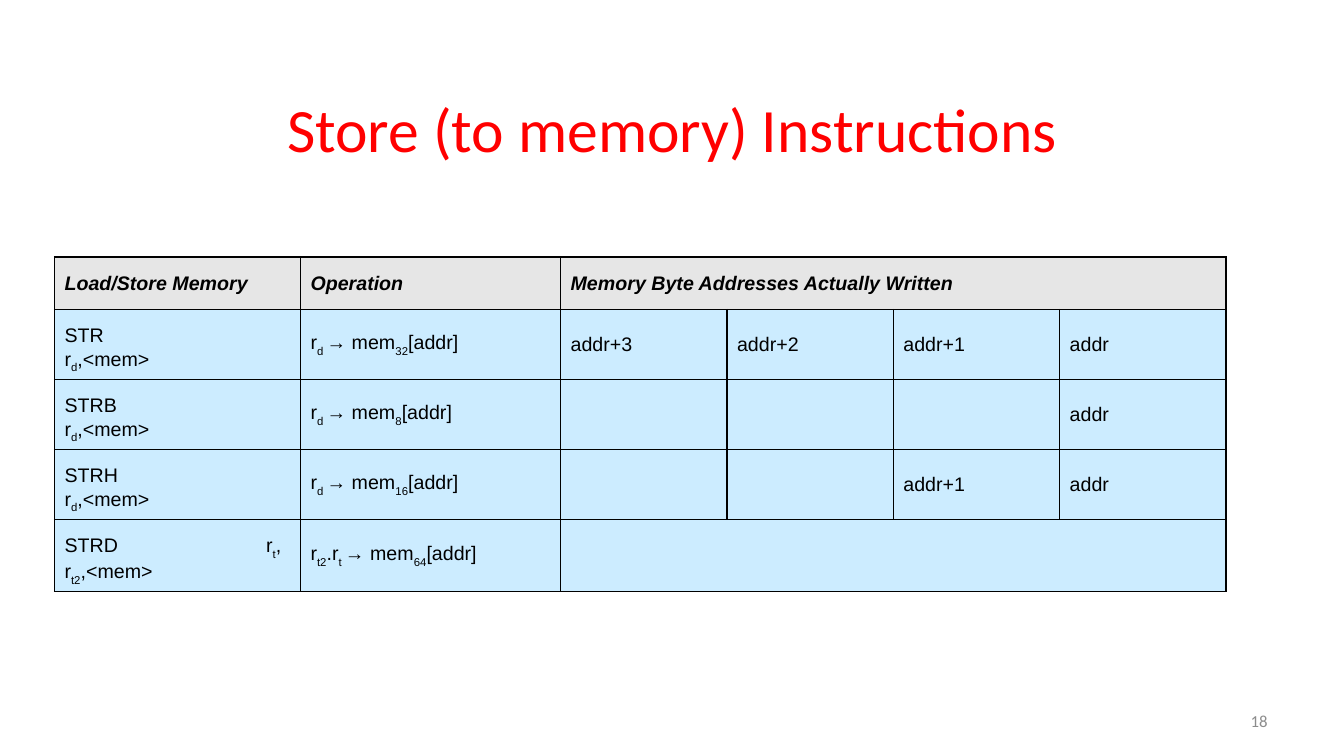
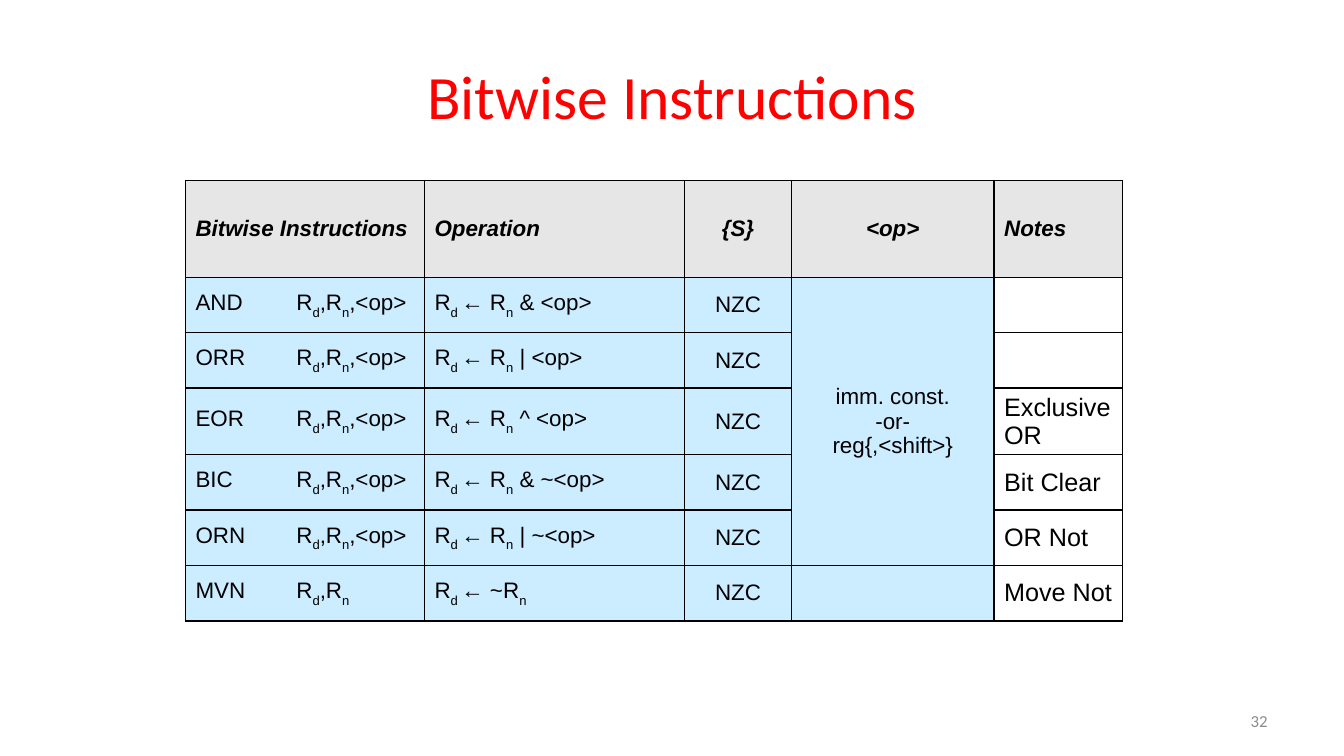
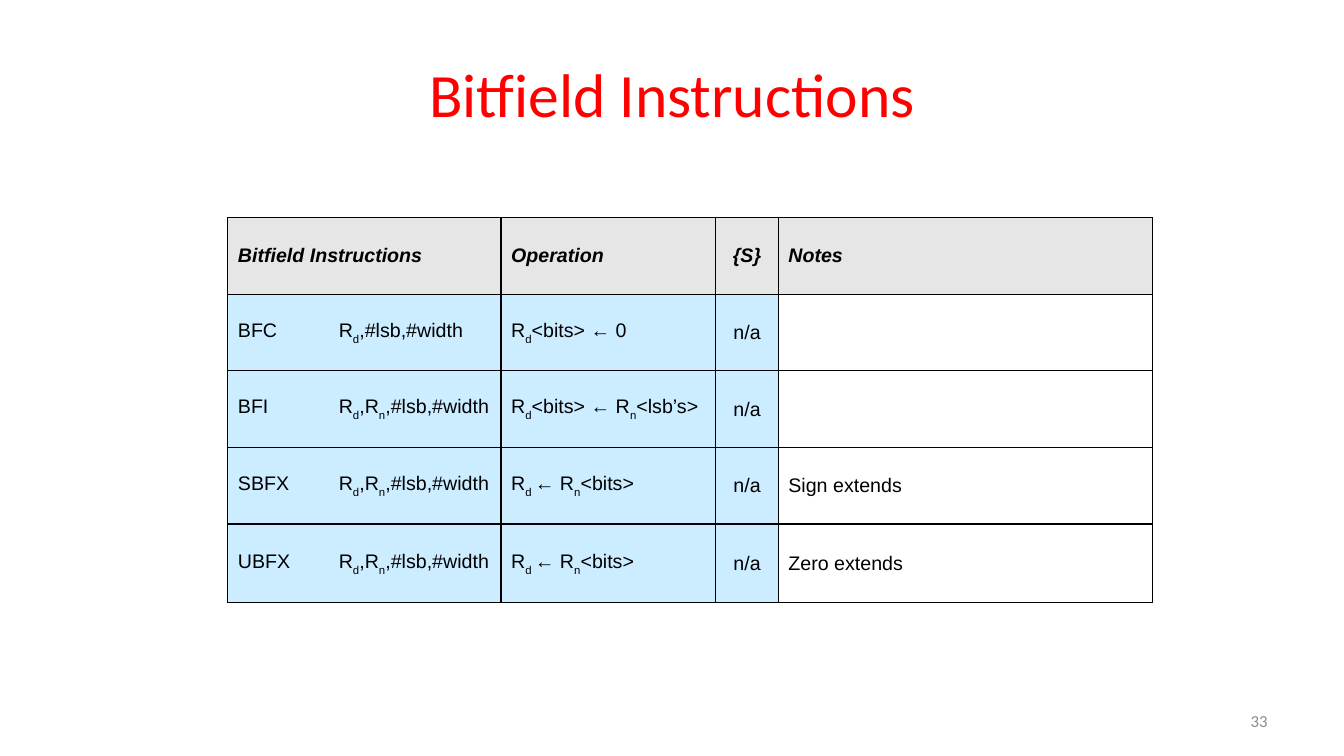
"""Build three slides of instruction tables."""
from dataclasses import dataclass

from lxml.etree import SubElement
from pptx import Presentation
from pptx.dml.color import RGBColor
from pptx.enum.text import MSO_ANCHOR, PP_ALIGN
from pptx.oxml import parse_xml
from pptx.oxml.ns import nsdecls, qn
from pptx.util import Inches, Pt

RED, BLACK, GREY = "FF0000", "000000", "8C8C8C"
HEAD, BLUE, WHITE = "E6E6E6", "CCECFF", "FFFFFF"


@dataclass
class Grid:
    """A table: underscores fence subscripts, or a lone wide tab."""
    left: float
    top: float
    cols: list[float]
    rows: list[float]
    cells: list[list[str]]
    size: int
    mid: tuple[int, ...] = ()
    span: tuple[tuple[int, int, int, int], ...] = ()
    notes: int = -1
    note_size: int = 14


@dataclass
class Page:
    """A slide with its title, number and table."""
    title: str
    box: tuple[float, float, float, float]
    num: str
    grid: Grid


def rgb(code: str) -> RGBColor:
    """Turn a hex string into a colour."""
    return RGBColor.from_string(code)


def style(para, size: int, color: str, face: str, align=PP_ALIGN.LEFT) -> None:
    """Set the font and alignment of a paragraph."""
    para.alignment = align
    font = para.font
    font.size, font.name = Pt(size), face
    font.color.rgb = rgb(color)


def add_tabs(para) -> None:
    """Give a paragraph tab stops an inch apart."""
    props = para._p.get_or_add_pPr()
    props.set("defTabSz", str(Inches(1)))
    stops = SubElement(props, qn("a:tabLst"))
    for inch in (1, 2):
        SubElement(stops, qn("a:tab"), pos=str(Inches(inch)), algn="l")


def add_runs(para, text: str) -> None:
    """Write marked text as plain, subscript and wide tab runs."""
    for i, part in enumerate(text.split("_")):
        if not part:
            continue
        run = para.add_run()
        run.text = part
        if part == "\t":
            run.font.size, run.font.name = Pt(20), "Lato"
        elif i % 2:
            run._r.get_or_add_rPr().set("baseline", "-30000")


def add_edges(cell) -> None:
    """Draw a thin black line on each side of a cell."""
    props = cell._tc.get_or_add_tcPr()
    for i, side in enumerate("LRTB"):
        props.insert(i, parse_xml(
            f'<a:ln{side} {nsdecls("a")} w="12700"><a:solidFill>'
            f'<a:srgbClr val="{BLACK}"/></a:solidFill></a:ln{side}>'))


def fill_cell(cell, grid: Grid, row: int, col: int) -> None:
    """Paint one cell and write its text."""
    note = row > 0 and col == grid.notes
    cell.fill.solid()
    cell.fill.fore_color.rgb = rgb(HEAD if row == 0 else WHITE if note else BLUE)
    add_edges(cell)
    cell.vertical_anchor = MSO_ANCHOR.MIDDLE
    if cell.is_spanned:
        return
    for i, line in enumerate(grid.cells[row][col].split("\n")):
        frame = cell.text_frame
        para = frame.add_paragraph() if i else frame.paragraphs[0]
        if "\t" in line:
            add_tabs(para)
        style(para, grid.note_size if note else grid.size, BLACK, "Arial",
              PP_ALIGN.CENTER if col in grid.mid else PP_ALIGN.LEFT)
        para.font.bold = para.font.italic = row == 0
        add_runs(para, line)


def add_grid(slide, grid: Grid) -> None:
    """Place a table on a slide."""
    table = slide.shapes.add_table(
        len(grid.rows), len(grid.cols), Inches(grid.left), Inches(grid.top),
        Inches(sum(grid.cols)), Inches(sum(grid.rows))).table
    table.first_row = table.horz_banding = False
    for col, width in zip(table.columns, grid.cols):
        col.width = Inches(width)
    for row, height in zip(table.rows, grid.rows):
        row.height = Inches(height)
    for top, left, low, right in grid.span:
        table.cell(top, left).merge(table.cell(low, right))
    for row in range(len(grid.rows)):
        for col in range(len(grid.cols)):
            fill_cell(table.cell(row, col), grid, row, col)


def add_page(deck, page: Page) -> None:
    """Add a slide with title, table and number."""
    slide = deck.slides.add_slide(deck.slide_layouts[5])
    title = slide.shapes.title
    title.left, title.top, title.width, title.height = map(Inches, page.box)
    title.text_frame.text = page.title
    title.text_frame.vertical_anchor = MSO_ANCHOR.MIDDLE
    style(title.text_frame.paragraphs[0], 44, RED, "Calibri", PP_ALIGN.CENTER)
    add_grid(slide, page.grid)
    box = slide.shapes.add_textbox(
        Inches(9.56), Inches(6.95), Inches(3.11), Inches(0.4))
    frame = box.text_frame
    frame.word_wrap = True
    frame.vertical_anchor = MSO_ANCHOR.MIDDLE
    frame.text = page.num
    style(frame.paragraphs[0], 12, GREY, "Calibri", PP_ALIGN.RIGHT)


def store() -> Grid:
    """Describe the store table."""
    cells = [["Load/Store Memory", "Operation",
              "Memory Byte Addresses Actually Written", "", "", ""]]
    addrs = ["addr+3", "addr+2", "addr+1", "addr"]
    for name, bits, count in (("STR", 32, 4), ("STRB", 8, 1), ("STRH", 16, 2)):
        cells.append([f"{name}\t_\t_r_d_,<mem>", f"r_d _→ mem_{bits}_[addr]",
                      *[""] * (4 - count), *addrs[4 - count:]])
    cells.append(["STRD\t_\t_r_t_, r_t2_,<mem>",
                  "r_t2_.r_t _→ mem_64_[addr]", "", "", "", ""])
    return Grid(0.54, 2.55, [2.44, 2.58] + [1.65] * 4,
                [0.52] + [0.69] * 3 + [0.71], cells, 14,
                span=((0, 2, 0, 5), (4, 2, 4, 5)))


def bitwise() -> Grid:
    """Describe the bitwise table."""
    cells = [["Bitwise Instructions", "Operation", "{S}", "<op>", "Notes"]]
    for name, sign, note in (
            ("AND", "& ", ""), ("ORR", "| ", ""), ("EOR", "^ ", "Exclusive OR"),
            ("BIC", "& ~", "Bit Clear"), ("ORN", "| ~", "OR Not")):
        cells.append([f"{name} \tR_d_,R_n_,<op>", f"R_d _← R_n_ {sign}<op>",
                      "NZC", "", note])
    cells[1][3] = "imm. const.\n-or-\nreg{,<shift>}"
    cells.append(["MVN \tR_d_,R_n_", "R_d _← ~R_n_", "NZC", "", "Move Not"])
    return Grid(1.84, 1.79, [2.37, 2.58, 1.06, 2.01, 1.27],
                [0.96, 0.55, 0.55, 0.65, 0.55, 0.55, 0.55], cells, 16,
                mid=(2, 3), span=((1, 3, 5, 3),), notes=4, note_size=18)


def bitfield() -> Grid:
    """Describe the bitfield table."""
    cells = [["Bitfield Instructions", "Operation", "{S}", "Notes"]]
    for name, regs, oper, note in (
            ("BFC ", "R_d_", "R_d_<bits> ← 0", ""),
            ("BFI ", "R_d_,R_n_", "R_d_<bits> ← R_n_<lsb’s>", ""),
            ("SBFX", "R_d_,R_n_", "R_d _← R_n_<bits>", "Sign extends"),
            ("UBFX", "R_d_,R_n_", "R_d _← R_n_<bits>", "Zero extends")):
        cells.append([f"{name}\t{regs},#lsb,#width", oper, "n/a", note])
    return Grid(2.26, 2.16, [2.71, 2.13, 0.62, 3.71], [0.76] * 4 + [0.78],
                cells, 14, mid=(2,), notes=3)


def main() -> None:
    """Build and save the deck."""
    deck = Presentation()
    deck.slide_width, deck.slide_height = Inches(13.33), Inches(7.5)
    for page in (
            Page("Store (to memory) Instructions", (2.42, 0.64, 8.5, 1.25),
                 "18", store()),
            Page("Bitwise Instructions", (2.42, 0.32, 8.5, 1.25),
                 "32", bitwise()),
            Page("Bitfield Instructions", (0.67, 0.3, 12, 1.25),
                 "33", bitfield())):
        add_page(deck, page)
    deck.save("out.pptx")


if __name__ == "__main__":
    main()
